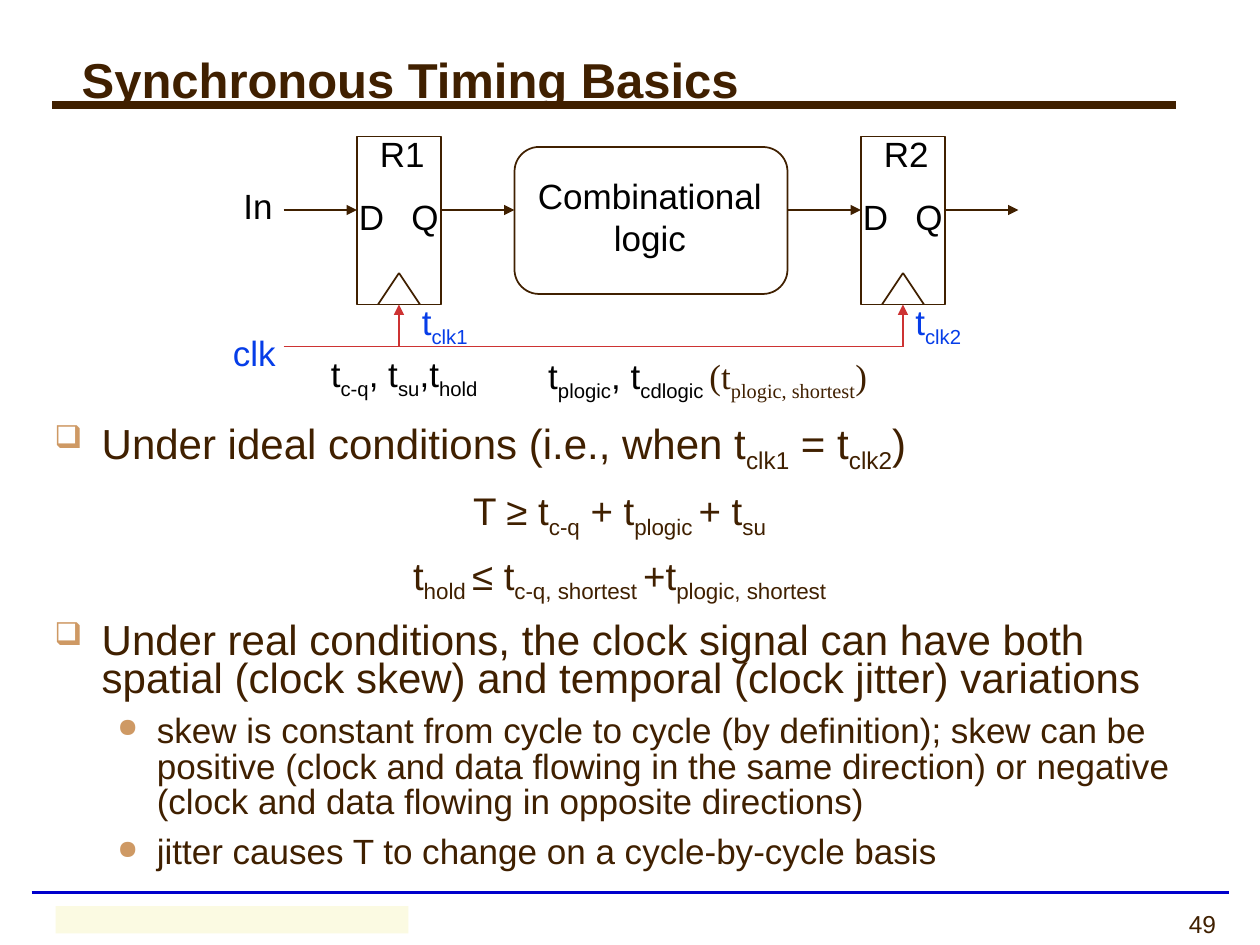
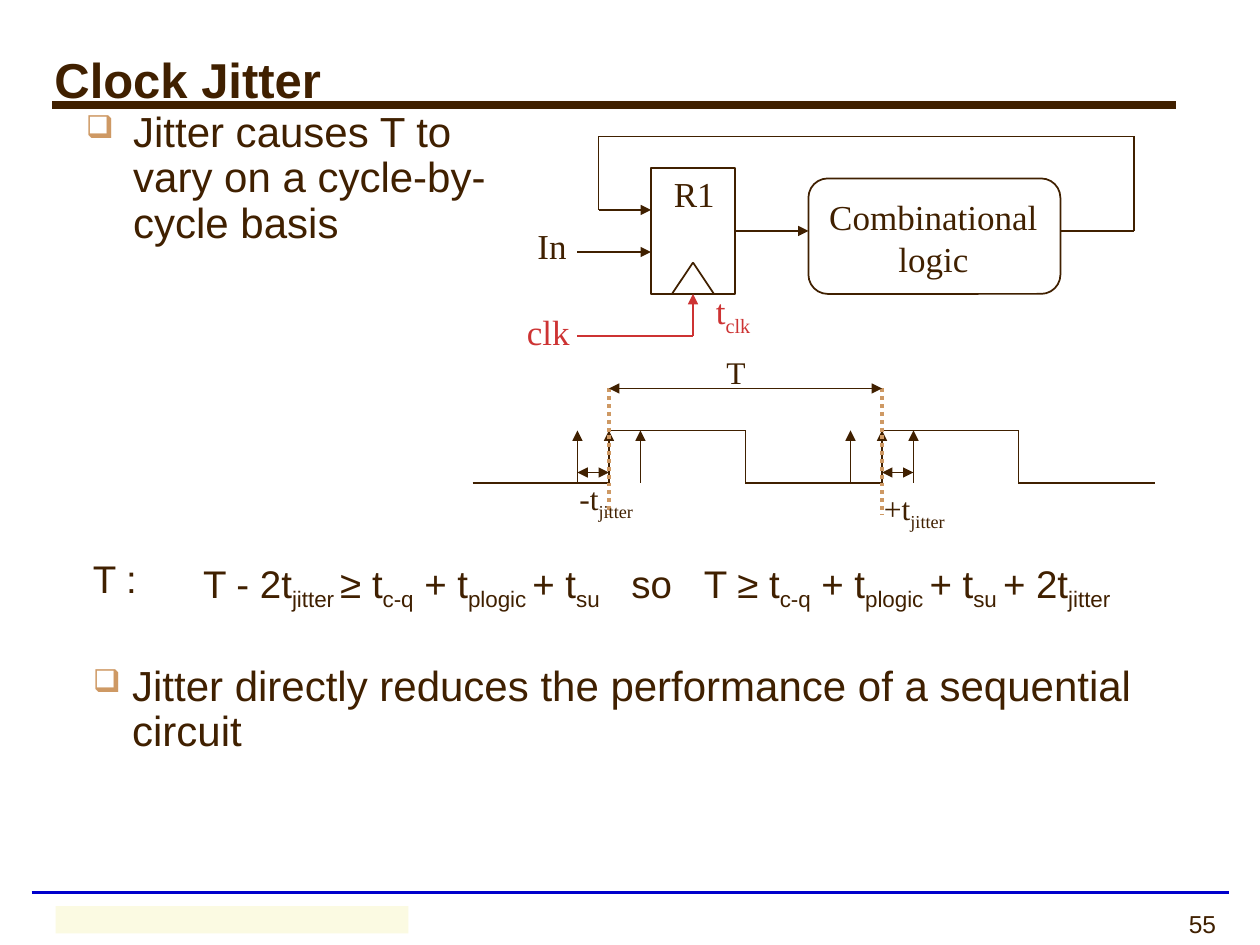
import itertools

import lxml.etree
import pptx
import pptx.dml.color
import pptx.enum.dml
import pptx.enum.shapes
import pptx.enum.text
import pptx.oxml.ns
import pptx.util

COLORS = {
    "brown": "402000",
    "black": "000000",
    "blue": "063DE8",
    "navy": "0000CC",
    "red": "CD3333",
    "tan": "CE9964",
    "cream": "FBFAE2",
}
SANS, SERIF = "Arial", "Times New Roman"
ALIGN = pptx.enum.text.PP_ALIGN
GRID_CM = 2.54 / 12
EQUATION = dict(size=22, align=ALIGN.CENTER, hanging=(4.5, 4.5), line_spacing=0.75, before=65)
MAIN_POINT = dict(size=24, bullet="❑", hanging=(4.5, 4.5), line_spacing=0.9, before=65)
SUB_POINT = dict(size=20, bullet="●", hanging=(9.75, 3.75), line_spacing=0.85, before=40)


def grid(steps):
    """Length of a number of drawing grid steps, twelve to the inch."""
    return pptx.util.Cm(steps * GRID_CM)


def rgb(color):
    return pptx.dml.color.RGBColor.from_string(COLORS[color])


def add_xml(parent, tag, **attributes):
    element = lxml.etree.SubElement(parent, pptx.oxml.ns.qn(tag))
    for name, value in attributes.items():
        element.set(name, str(value))
    return element


def write(paragraph, text, size=20, color="brown", font=SANS, bold=False, align=None,
          line_spacing=None, before=None, hanging=None, bullet=None, tabs=()):
    """Append text to a paragraph; parts in [brackets] become subscripts."""
    for index, part in enumerate(text.replace("]", "[").split("[")):
        if not part:
            continue
        run = paragraph.add_run()
        run.text = part
        run.font.size = pptx.util.Pt(size)
        run.font.name = font
        run.font.bold = bold
        run.font.color.rgb = rgb(color)
        if index % 2:
            run.font._element.set("baseline", "-25000")

    if align is not None:
        paragraph.alignment = align
    if line_spacing:
        paragraph.line_spacing = line_spacing
    properties = paragraph._p.get_or_add_pPr()
    if hanging:
        margin, indent = hanging
        properties.set("marL", str(grid(margin)))
        properties.set("indent", str(-grid(indent)))
    if before:
        add_xml(add_xml(properties, "a:spcBef"), "a:spcPct", val=before * 1000)
    if bullet:
        add_xml(add_xml(properties, "a:buClr"), "a:srgbClr", val=COLORS["tan"])
        add_xml(properties, "a:buSzPct", val=75000)
        add_xml(properties, "a:buChar", char=bullet)
    if tabs:
        tab_list = add_xml(properties, "a:tabLst")
        for position in tabs:
            add_xml(tab_list, "a:tab", pos=grid(position), algn="l")


def add_frame(slide, left, top, width, height, wrap=True, insets=(1.2, 0.6)):
    frame = slide.shapes.add_textbox(*map(grid, (left, top, width, height))).text_frame
    frame.word_wrap = wrap
    frame.auto_size = pptx.enum.text.MSO_AUTO_SIZE.NONE
    frame.margin_left = frame.margin_right = grid(insets[0])
    frame.margin_top = frame.margin_bottom = grid(insets[1])
    return frame


def add_label(slide, text, left, top, width, height=5.2, wrap=False, **text_format):
    """Add a diagram label with one paragraph for each line of text."""
    frame = add_frame(slide, left, top, width, height, wrap)
    frame.auto_size = pptx.enum.text.MSO_AUTO_SIZE.SHAPE_TO_FIT_TEXT
    for index, line in enumerate(text.split("\n")):
        paragraph = frame.add_paragraph() if index else frame.paragraphs[0]
        write(paragraph, line, **text_format)
    return frame


def add_points(frame, points):
    for index, (text, text_format) in enumerate(points):
        paragraph = frame.add_paragraph() if index else frame.paragraphs[0]
        write(paragraph, text, **text_format)


def add_line(slide, start, end, color="brown", width=1, dash=None,
             start_arrow=False, end_arrow=False):
    line = slide.shapes.add_connector(
        pptx.enum.shapes.MSO_CONNECTOR.STRAIGHT, *map(grid, (*start, *end)))
    line.line.color.rgb = rgb(color)
    line.line.width = pptx.util.Pt(width)
    if dash:
        line.line.dash_style = dash
    outline = line.line._get_or_add_ln()
    if start_arrow:
        add_xml(outline, "a:headEnd", type="triangle")
    if end_arrow:
        add_xml(outline, "a:tailEnd", type="triangle")
    add_xml(line._element.spPr, "a:effectLst")


def add_route(slide, points, color="brown", end_arrow=False):
    """Join points with straight lines; an arrow may close the last one."""
    for start, end in itertools.pairwise(points):
        add_line(slide, start, end, color, end_arrow=end_arrow and end == points[-1])


def add_block(slide, left, top, width, height, rounded=False, fill=None):
    """Add an outlined block, or a filled one without outline."""
    kinds = pptx.enum.shapes.MSO_SHAPE
    kind = kinds.ROUNDED_RECTANGLE if rounded else kinds.RECTANGLE
    block = slide.shapes.add_shape(kind, *map(grid, (left, top, width, height)))
    block.shadow.inherit = False
    if fill:
        block.fill.solid()
        block.fill.fore_color.rgb = rgb(fill)
        block.line.fill.background()
    else:
        block.fill.background()
        block.line.color.rgb = rgb("brown")
        block.line.width = pptx.util.Pt(1)


def add_register(slide, left, top, height):
    """Draw a register with the clock notch at its foot."""
    foot = top + height
    add_block(slide, left, top, 8, height)
    add_route(slide, [(left + 2, foot), (left + 4, foot - 3), (left + 6, foot)])


def add_slide(deck, title, number, title_indent=0):
    slide = deck.slides.add_slide(deck.slide_layouts[6])
    add_line(slide, (3, 85), (117, 85), "navy", 2.25)
    write(add_frame(slide, 91, 86, 26, 4).paragraphs[0], number, size=14, align=ALIGN.RIGHT)
    add_line(slide, (5, 10), (112, 10), width=4.5)
    heading = add_frame(slide, 4, 0, 110, 15)
    heading.vertical_anchor = pptx.enum.text.MSO_ANCHOR.MIDDLE
    write(heading.paragraphs[0], title, size=28, bold=True, hanging=(title_indent, 0))
    add_block(slide, 5.3, 86.3, 33.6, 2.6, fill="cream")
    return slide


def add_timing_basics(deck):
    slide = add_slide(deck, "Synchronous Timing Basics", "49", title_indent=2.6)
    add_points(add_frame(slide, 4, 39.2, 110, 44.9), [
        ("Under ideal conditions (i.e., when t[clk1] = t[clk2])", MAIN_POINT),
        ("T ≥ t[c-q] + t[plogic ]+ t[su]", EQUATION),
        ("t[hold ]≤ t[c-q, shortest ]+t[plogic, shortest]", EQUATION),
        ("Under real conditions, the clock signal can have both spatial (clock skew) "
         "and temporal (clock jitter) variations", {**MAIN_POINT, "line_spacing": 0.75}),
        ("skew is constant from cycle to cycle (by definition); skew can be positive "
         "(clock and data flowing in the same direction) or negative "
         "(clock and data flowing in opposite directions)", SUB_POINT),
        ("jitter causes T to change on a cycle-by-cycle basis", SUB_POINT),
    ])

    add_line(slide, (27, 33), (86, 33), "red")
    for left, name, clock in ((34, "R1", "t[clk1]"), (82, "R2", "t[clk2]")):
        add_register(slide, left, 13, 16)
        add_label(slide, "D", left - 1, 18, 4.8, color="black")
        add_label(slide, "Q", left + 4, 18, 5, color="black")
        add_label(slide, name, left + 1, 12, 6.7, color="black")
        add_line(slide, (left - 7, 20), (left, 20), end_arrow=True)
        add_line(slide, (left + 8, 20), (left + 15, 20), end_arrow=True)
        add_line(slide, (left + 4, 33), (left + 4, 29), "red", end_arrow=True)
        add_label(slide, clock, 39 if name == "R1" else 86, 28, 7.2, color="blue")

    add_block(slide, 49, 14, 26, 14, rounded=True)
    add_label(slide, "Combinational\nlogic", 50, 16, 23.8, 9.2,
              color="black", align=ALIGN.CENTER)
    add_label(slide, "clk", 21, 31, 6.5, color="blue")
    add_label(slide, "In", 22, 17, 5.2, color="black")
    add_label(slide, "t[c-q], t[su],t[hold]", 27, 33, 23, wrap=True,
              color="black", align=ALIGN.CENTER)
    delays = add_label(slide, "t[plogic], t[cdlogic ]", 46.9, 33.2, 41, wrap=True,
                       color="black", align=ALIGN.CENTER)
    write(delays.paragraphs[0], "(t[plogic, shortest])", font=SERIF)


def add_jitter_circuit(slide):
    add_register(slide, 62, 16, 12)
    add_block(slide, 77, 17, 24, 11, rounded=True)
    add_line(slide, (55, 24), (62, 24), end_arrow=True)
    add_line(slide, (70, 22), (77, 22), end_arrow=True)
    add_route(slide, [(101, 22), (108, 22), (108, 13), (57, 13), (57, 20), (62, 20)],
              end_arrow=True)
    add_route(slide, [(55, 32), (66, 32), (66, 28)], "red", end_arrow=True)
    add_label(slide, "R1", 63, 15.8, 6.7, font=SERIF)
    add_label(slide, "Combinational\nlogic", 77, 18, 23.8, 9.2,
              font=SERIF, align=ALIGN.CENTER)
    add_label(slide, "In", 50, 20.8, 5.2, font=SERIF)
    add_label(slide, "clk", 49, 29, 6.5, font=SERIF, color="red")
    add_label(slide, "t[clk]", 67, 27, 6, font=SERIF, color="red")


def add_jitter_waveform(slide):
    high, low, half_period, jitter = 41, 46, 13, 3
    edges = (58, 84)
    add_line(slide, (edges[0] - half_period, low), (edges[0], low))
    for edge in edges:
        fall = edge + half_period
        add_route(slide, [(edge, high), (fall, high), (fall, low), (fall + half_period, low)])
        for shift in (-jitter, 0, jitter):
            add_line(slide, (edge + shift, low), (edge + shift, high), end_arrow=True)
        add_line(slide, (edge, 37), (edge, 49), "tan", 2.25,
                 dash=pptx.enum.dml.MSO_LINE.ROUND_DOT)
    spans = ((edges[0], edges[1], 37), (edges[0] - jitter, edges[0], 45),
             (edges[1], edges[1] + jitter, 45))
    for start, end, height in spans:
        add_line(slide, (start, height), (end, height), start_arrow=True, end_arrow=True)
    for text, left, top, width in (("T", 68, 33, 4.2), ("-t[jitter]", 54, 45, 8),
                                   ("+t[jitter]", 83, 46, 8.8)):
        add_label(slide, text, left, top, width, 4.8, size=18, font=SERIF)


def add_clock_jitter(deck):
    slide = add_slide(deck, "Clock Jitter", "55")
    add_points(add_frame(slide, 7, 10, 43, 13.6),
               [("Jitter causes T to vary on a cycle-by-cycle basis", MAIN_POINT)])
    add_jitter_circuit(slide)
    add_jitter_waveform(slide)

    constraint = dict(size=22, line_spacing=0.9, before=65)
    for text, left, top, width, text_format in (
        ("T :", 8, 53, 10, constraint),
        ("T - 2t[jitter ]≥ t[c-q] + t[plogic ]+ t[su]\tso\t"
         "T ≥ t[c-q] + t[plogic ]+ t[su ]+ 2t[jitter]",
         18.5, 53, 97.5, {**constraint, "tabs": (40.8, 47.7)}),
        ("Jitter directly reduces the performance of a sequential circuit",
         8, 63, 107, {**MAIN_POINT, "hanging": (3.75, 3.75)}),
    ):
        add_points(add_frame(slide, left, top, width, 4.7, insets=(0.84, 0.36)),
                   [(text, text_format)])


def main():
    deck = pptx.Presentation()
    deck.slide_width, deck.slide_height = grid(120), grid(90)
    add_timing_basics(deck)
    add_clock_jitter(deck)
    deck.save("out.pptx")


if __name__ == "__main__":
    main()
